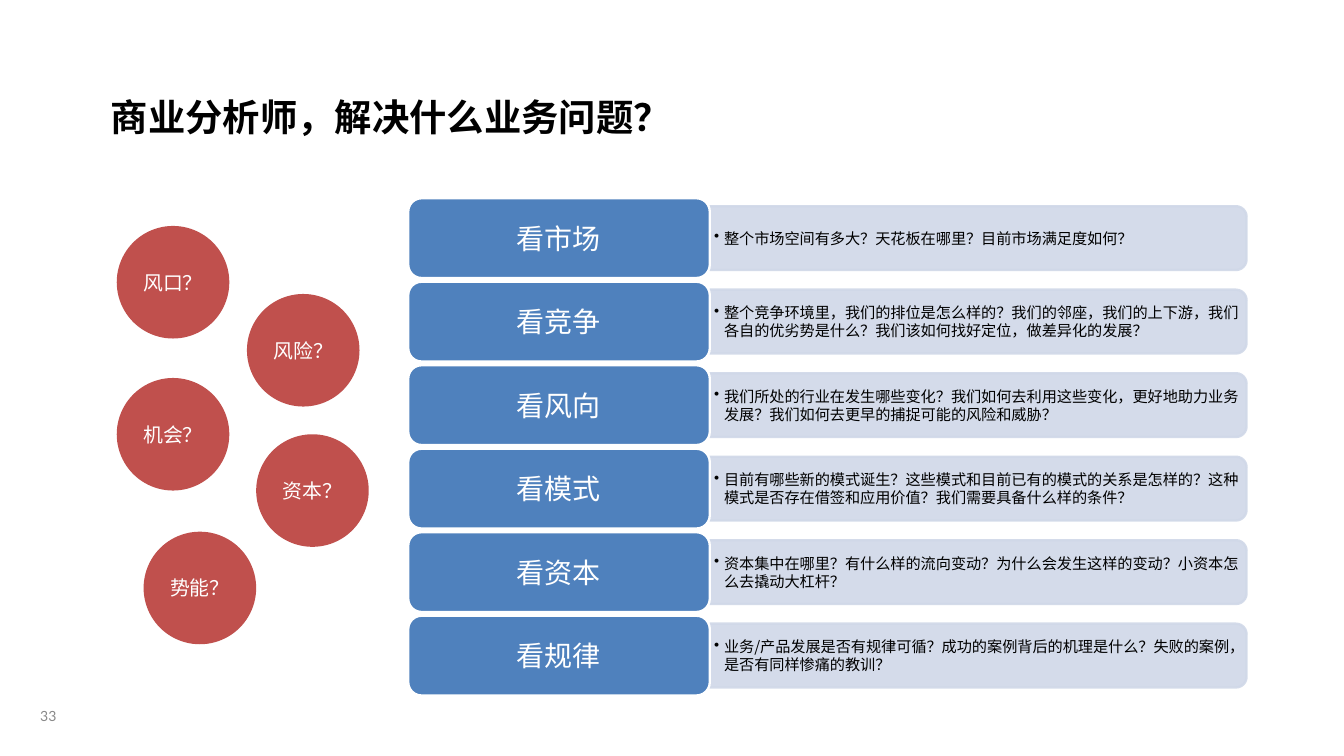
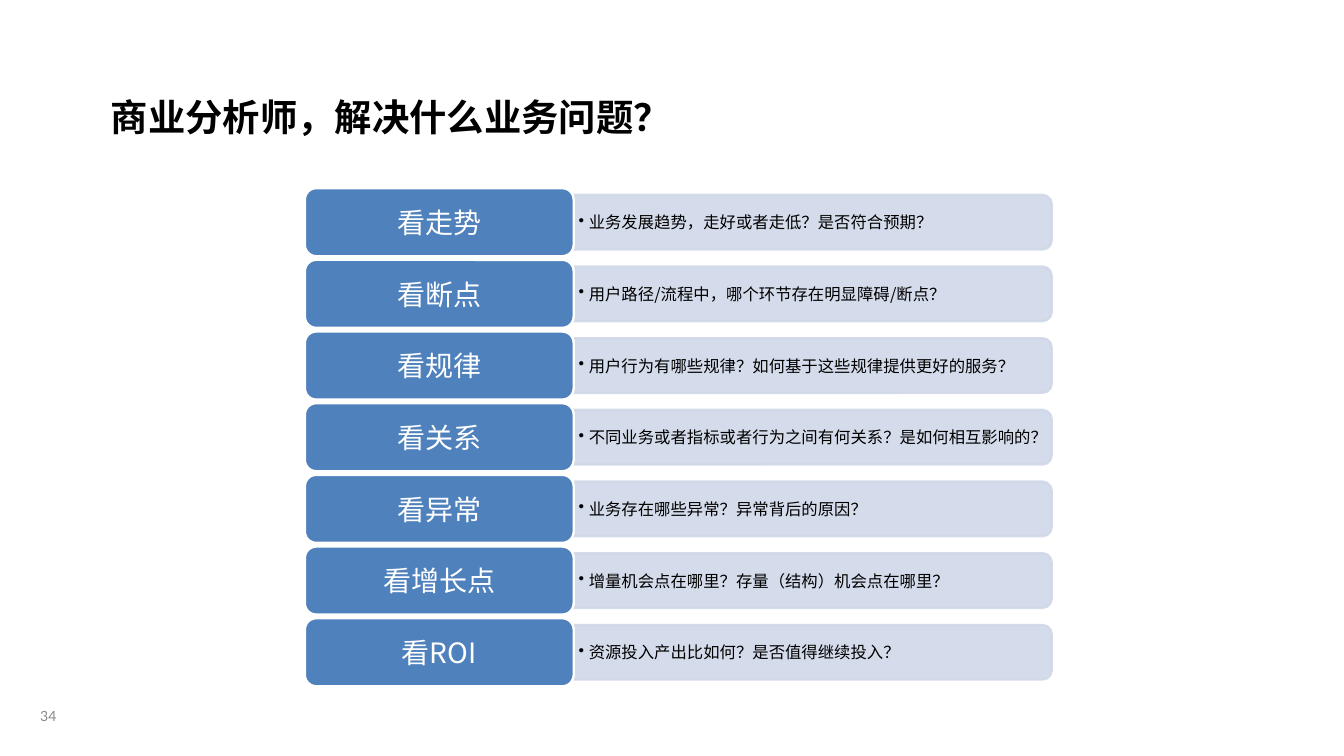
from dataclasses import dataclass

from lxml import etree
from pptx import Presentation
from pptx.dml.color import RGBColor
from pptx.enum import shapes, text
from pptx.oxml.ns import qn
from pptx.util import Inches, Pt

BLACK, WHITE, GREY = "000000", "FFFFFF", "898989"
BLUE, PALE_BLUE, RED = "4F81BD", "D0D8E8", "C0504D"
CJK_FONT, NUMBER_FONT = "Noto Sans CJK SC", "Lato"
TITLE = "商业分析师，解决什么业务问题？"
CIRCLE_SIZE = 1.34
SHAPE = shapes.MSO_SHAPE
CENTER, LEFT = text.PP_ALIGN.CENTER, text.PP_ALIGN.LEFT
MIDDLE, TOP = text.MSO_ANCHOR.MIDDLE, text.MSO_ANCHOR.TOP


@dataclass
class Row:
    label: str
    detail: str


@dataclass
class Circle:
    label: str
    left: float
    top: float


@dataclass
class RowList:
    """Labels with a detail bar to the right of each, evenly spaced."""
    left: float
    first_top: float
    last_top: float
    label_width: float
    label_height: float
    bar_length: float
    bar_height: float
    detail_width: float
    detail_height: float
    detail_size: int
    detail_inset: float
    rows: list[Row]


@dataclass
class Page:
    number: int
    row_list: RowList
    circles: list[Circle]


PAGES = [
    Page(33, RowList(4.86, 2.36, 7.33, 3.59, 0.95, 6.39, 0.76, 6.35, 0.68, 13, 0.05, [
        Row("看市场", "整个市场空间有多大？天花板在哪里？目前市场满足度如何？"),
        Row("看竞争", "整个竞争环境里，我们的排位是怎么样的？我们的邻座，我们的上下游，"
                     "我们各自的优劣势是什么？我们该如何找好定位，做差异化的发展？"),
        Row("看风向", "我们所处的行业在发生哪些变化？我们如何去利用这些变化，"
                     "更好地助力业务发展？我们如何去更早的捕捉可能的风险和威胁？"),
        Row("看模式", "目前有哪些新的模式诞生？这些模式和目前已有的模式的关系是怎样的？"
                     "这种模式是否存在借签和应用价值？我们需要具备什么样的条件？"),
        Row("看资本", "资本集中在哪里？有什么样的流向变动？为什么会发生这样的变动？"
                     "小资本怎么去撬动大杠杆？"),
        Row("看规律", "业务/产品发展是否有规律可循？成功的案例背后的机理是什么？"
                     "失败的案例，是否有同样惨痛的教训？"),
    ]), [
        Circle("风口？", 1.39, 2.69),
        Circle("风险？", 2.94, 3.5),
        Circle("机会？", 1.39, 4.5),
        Circle("资本？", 3.05, 5.17),
        Circle("势能？", 1.71, 6.33),
    ]),
    Page(34, RowList(3.63, 2.24, 7.36, 3.2, 0.81, 5.69, 0.65, 5.66, 0.59, 14, 0.06, [
        Row("看走势", "业务发展趋势，走好或者走低？是否符合预期？"),
        Row("看断点", "用户路径/流程中，哪个环节存在明显障碍/断点？"),
        Row("看规律", "用户行为有哪些规律？如何基于这些规律提供更好的服务？"),
        Row("看关系", "不同业务或者指标或者行为之间有何关系？是如何相互影响的？"),
        Row("看异常", "业务存在哪些异常？异常背后的原因？"),
        Row("看增长点", "增量机会点在哪里？存量（结构）机会点在哪里？"),
        Row("看ROI", "资源投入产出比如何？是否值得继续投入？"),
    ]), []),
]


def rgb(colour: str) -> RGBColor:
    return RGBColor.from_string(colour)


def write(sp, words: str, size: int, colour: str, *, font: str = CJK_FONT, bold: bool = False,
          align=CENTER, anchor=MIDDLE, insets: tuple[float, float] = (0.1, 0.05)):
    """Fill a shape with one paragraph and return that paragraph."""
    tf = sp.text_frame
    across, down = map(Inches, insets)
    frame = {"word_wrap": True, "vertical_anchor": anchor, "margin_left": across,
             "margin_right": across, "margin_top": down, "margin_bottom": down}
    for name, value in frame.items():
        setattr(tf, name, value)
    p = tf.paragraphs[0]
    p.alignment = align
    r = p.add_run()
    r.text = words
    for name, value in {"name": font, "size": Pt(size), "bold": bold}.items():
        setattr(r.font, name, value)
    r.font.color.rgb = rgb(colour)
    etree.SubElement(r.font._element, qn("a:ea"), typeface=font)
    return p


def add_box(slide, left: float, top: float, width: float, height: float):
    return slide.shapes.add_textbox(*map(Inches, (left, top, width, height)))


def add_shape(slide, kind, left: float, top: float, width: float, height: float,
              fill: str, line: str | None = None):
    sp = slide.shapes.add_shape(kind, *map(Inches, (left, top, width, height)))
    sp.shadow.inherit = False
    sp.fill.solid()
    sp.fill.fore_color.rgb = rgb(fill)
    if line:
        sp.line.color.rgb = rgb(line)
        sp.line.width = Pt(2)
    else:
        sp.line.fill.background()
    return sp


def set_opacity(sp, percent: int) -> None:
    """Make fill and outline see-through alike."""
    for colour in sp._element.spPr.iter(qn("a:srgbClr")):
        etree.SubElement(colour, qn("a:alpha"), val=str(percent * 1000))


def add_bullet(p, indent: float) -> None:
    pPr = p._p.get_or_add_pPr()
    pPr.set("marL", str(Inches(indent)))
    pPr.set("indent", str(Inches(-indent)))
    etree.SubElement(pPr, qn("a:buChar"), char="•")


def draw_rows(slide, rl: RowList) -> None:
    pitch = (rl.last_top - rl.first_top) / (len(rl.rows) - 1)
    split = rl.left + rl.label_width
    for i, row in enumerate(rl.rows):
        top = rl.first_top + i * pitch
        middle = top + rl.label_height / 2
        # The bar stands upright and is turned so its round corners face right.
        bar = add_shape(slide, SHAPE.ROUND_2_SAME_RECTANGLE,
                        split + (rl.bar_length - rl.bar_height) / 2,
                        middle - rl.bar_length / 2,
                        rl.bar_height, rl.bar_length, PALE_BLUE, PALE_BLUE)
        bar.rotation = 90
        set_opacity(bar, 90)
        detail = add_box(slide, split, middle - rl.detail_height / 2,
                         rl.detail_width, rl.detail_height)
        p = write(detail, row.detail, rl.detail_size, BLACK, align=LEFT,
                  insets=(rl.detail_inset, 0.03))
        add_bullet(p, 0.12)
        label = add_shape(slide, SHAPE.ROUNDED_RECTANGLE, rl.left, top,
                          rl.label_width, rl.label_height, BLUE, WHITE)
        write(label, row.label, 24, WHITE)


def draw_page(prs, page: Page) -> None:
    slide = prs.slides.add_slide(prs.slide_layouts[6])
    write(add_box(slide, 0.2, 8.28, 0.75, 0.48), str(page.number), 12, GREY,
          font=NUMBER_FONT, insets=(0.08, 0.04))
    title = add_box(slide, 1.22, 1.07, 7.27, 0.64)
    write(title, TITLE, 32, BLACK, bold=True, align=LEFT, anchor=TOP)
    title.text_frame.auto_size = text.MSO_AUTO_SIZE.SHAPE_TO_FIT_TEXT
    draw_rows(slide, page.row_list)
    for circle in page.circles:
        sp = add_shape(slide, SHAPE.OVAL, circle.left, circle.top,
                       CIRCLE_SIZE, CIRCLE_SIZE, RED)
        write(sp, circle.label, 17, WHITE)


def main() -> None:
    prs = Presentation()
    prs.slide_width, prs.slide_height = Inches(16), Inches(9)
    for page in PAGES:
        draw_page(prs, page)
    prs.save("out.pptx")


if __name__ == "__main__":
    main()
